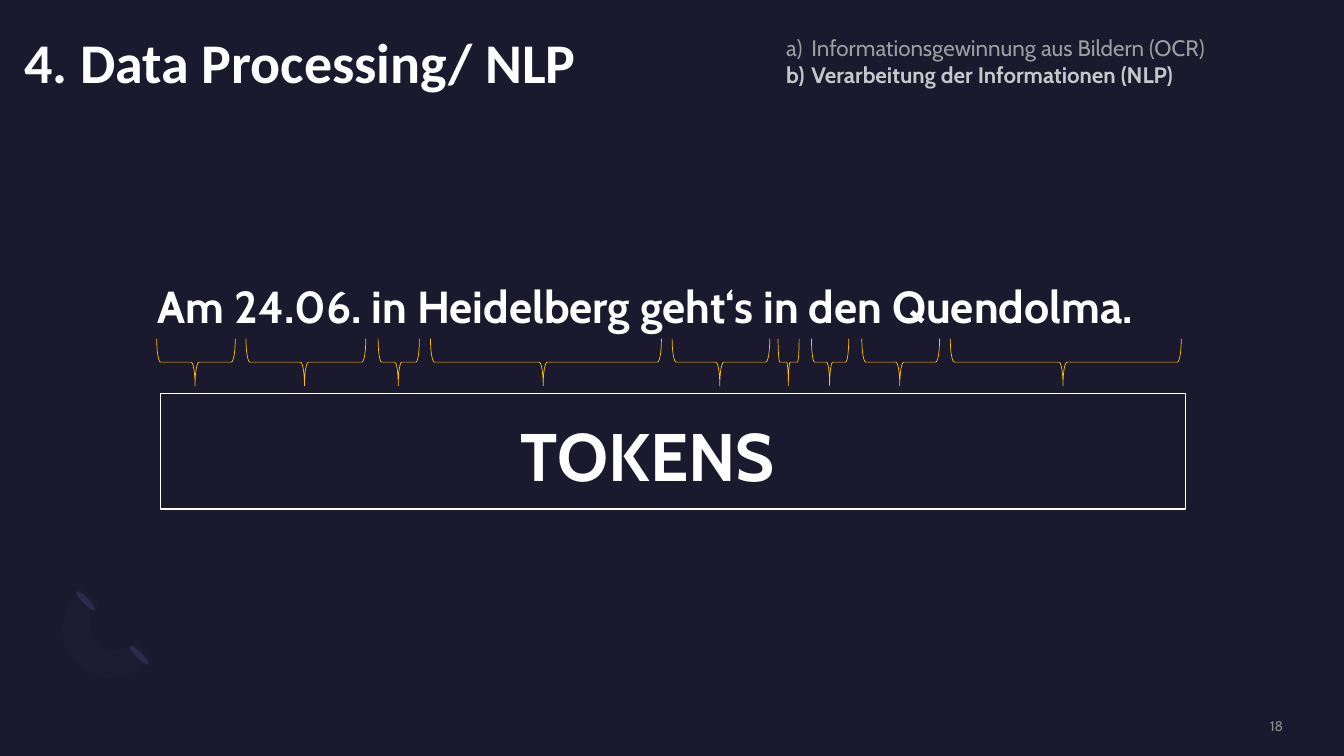
from dataclasses import dataclass

from lxml import etree
from pptx import Presentation
from pptx import util as u
from pptx.dml.color import RGBColor
from pptx.enum import shapes, text
from pptx.oxml.ns import qn

WHITE, NIGHT, PURPLE, AMBER = "FFFFFF", "1B192E", "2C284A", "FFC000"
BRACE_TOP, BRACE_HEIGHT = 8.53, 1.19


@dataclass
class Box:
    left: float
    top: float
    width: float
    height: float

    def lengths(self) -> list:
        return [u.Cm(v) for v in (self.left, self.top, self.width, self.height)]


@dataclass
class Brace:
    left: float
    width: float


@dataclass
class Style:
    size: float
    color: str
    font: str = "Cabin"
    bold: bool = False
    opacity: int = 100


def paint_fill(fill, color: str, opacity: int = 100) -> None:
    fill.solid()
    fill.fore_color.rgb = RGBColor.from_string(color)
    if opacity < 100:
        srgb = fill._xPr.find(qn("a:solidFill")).find(qn("a:srgbClr"))
        etree.SubElement(srgb, qn("a:alpha")).set("val", str(opacity * 1000))


def format_paragraph(paragraph, style: Style) -> None:
    for run in paragraph.runs:
        run.font.name = style.font
        run.font.size = u.Pt(style.size)
        run.font.bold = style.bold
        paint_fill(run.font.fill, style.color, style.opacity)


def place(shape, box: Box) -> None:
    shape.left, shape.top, shape.width, shape.height = box.lengths()


def write(shape, wording: str, styles: list[Style], grow: bool = True,
          align=text.PP_ALIGN.LEFT) -> None:
    frame = shape.text_frame
    frame.word_wrap = True
    frame.text = wording
    if grow:
        frame.auto_size = text.MSO_AUTO_SIZE.SHAPE_TO_FIT_TEXT
        frame.vertical_anchor = text.MSO_ANCHOR.TOP
    else:
        frame.auto_size = text.MSO_AUTO_SIZE.NONE
        frame.vertical_anchor = text.MSO_ANCHOR.MIDDLE
        frame.margin_left = frame.margin_right = 0
        frame.margin_top = frame.margin_bottom = 0
    for paragraph, style in zip(frame.paragraphs, styles):
        paragraph.alignment = align
        paragraph.space_before = u.Pt(0)
        format_paragraph(paragraph, style)


def letter_list(shape) -> None:
    for paragraph in shape.text_frame.paragraphs:
        props = paragraph._p.get_or_add_pPr()
        props.set("marL", str(u.Cm(0.64)))
        props.set("indent", str(-u.Cm(0.64)))
        etree.SubElement(props, qn("a:buFont")).set("typeface", "+mj-lt")
        etree.SubElement(props, qn("a:buAutoNum")).set("type", "alphaLcParenR")


def outline(slide, kind, box: Box, color: str, weight: float):
    shape = slide.shapes.add_shape(kind, *box.lengths())
    shape.shadow.inherit = False
    shape.fill.background()
    paint_fill(shape.line.fill, color)
    shape.line.width = u.Pt(weight)
    return shape


def draw_brace(slide, brace: Brace) -> None:
    # A left brace turned by 270 degrees points down
    center_x = brace.left + brace.width / 2
    center_y = BRACE_TOP + BRACE_HEIGHT / 2
    box = Box(center_x - BRACE_HEIGHT / 2, center_y - brace.width / 2,
              BRACE_HEIGHT, brace.width)
    shape = outline(slide, shapes.MSO_SHAPE.LEFT_BRACE, box, AMBER, 0.5)
    shape.adjustments[0], shape.adjustments[1] = 0.083, 0.488
    shape.rotation = 270


def curve(points: list[tuple], steps: int = 12) -> list[tuple]:
    a, b, c, d = points
    result = []
    for i in range(1, steps + 1):
        t = i / steps
        s = 1 - t
        result.append(tuple(
            u.Cm(s**3 * a[k] + 3 * s * s * t * b[k] + 3 * s * t * t * c[k] + t**3 * d[k])
            for k in (0, 1)))
    return result


def draw_ornament(slide) -> None:
    for left, top in ((3.43, 16.18), (2.08, 14.81)):
        dash = slide.shapes.add_shape(shapes.MSO_SHAPE.OVAL,
                                      *Box(left, top, 0.15, 0.66).lengths())
        dash.shadow.inherit = False
        paint_fill(dash.fill, PURPLE)
        dash.line.fill.background()
        dash.rotation = 135
    outer = [(1.93, 16.74), (1.42, 16.23), (1.47, 15.37), (2.06, 14.78)]
    inner = [(2.51, 15.24), (2.21, 15.52), (2.18, 15.98), (2.44, 16.21)]
    inner_end = [inner[-1], (2.69, 16.46), (3.12, 16.43), (3.43, 16.15)]
    outer_end = [(3.86, 16.61), (3.3, 17.17), (2.41, 17.25), outer[0]]
    builder = slide.shapes.build_freeform(*(u.Cm(v) for v in outer[0]))
    for part in (outer, inner, inner_end, outer_end):
        start = tuple(u.Cm(v) for v in part[0])
        builder.add_line_segments([start] + curve(part), close=part is outer_end)
    arc = builder.convert_to_shape()
    arc.shadow.inherit = False
    paint_fill(arc.fill, "7771B2", 3)
    arc.line.fill.background()


def main() -> None:
    deck = Presentation()
    deck.slide_width, deck.slide_height = u.Cm(33.87), u.Cm(19.05)
    slide = deck.slides.add_slide(deck.slide_layouts[1])
    paint_fill(slide.background.fill, NIGHT)
    draw_ornament(slide)

    # Heading and agenda
    heading, agenda = slide.placeholders
    place(heading, Box(0.36, 0.56, 16.94, 1.96))
    write(heading, "4. Data Processing/ NLP", [Style(40, WHITE, "Calibri", True)])
    place(agenda, Box(19.81, 0.76, 13.92, 1.55))
    write(agenda,
          "Informationsgewinnung aus Bildern (OCR)\nVerarbeitung der Informationen (NLP)",
          [Style(16, "BFBFBF", opacity=80), Style(16, "F2F2F2", bold=True, opacity=80)],
          grow=False)
    letter_list(agenda)

    # Example sentence with one brace per token
    sentence = slide.shapes.add_textbox(*Box(3.73, 6.91, 27.91, 1.63).lengths())
    write(sentence, "Am 24.06. in Heidelberg geht‘s in den Quendolma.",
          [Style(32, WHITE, bold=True)])
    for brace in (Brace(3.95, 1.98), Brace(6.2, 3.02), Brace(9.53, 1.04),
                  Brace(10.85, 5.82), Brace(16.94, 2.46), Brace(19.61, 0.53),
                  Brace(20.45, 0.94), Brace(21.72, 1.96), Brace(23.95, 5.82)):
        draw_brace(slide, brace)

    # Framed result
    tokens = slide.shapes.add_textbox(*Box(12.88, 10.31, 17.04, 2.31).lengths())
    write(tokens, "TOKENS", [Style(48, WHITE, bold=True)])
    outline(slide, shapes.MSO_SHAPE.RECTANGLE, Box(4.04, 9.91, 25.83, 2.92), WHITE, 1)

    # Page number
    page = slide.shapes.add_textbox(*Box(27.64, 18.08, 4.7, 0.43).lengths())
    write(page, "18", [Style(10, "A6A6A6", opacity=80)], grow=False,
          align=text.PP_ALIGN.RIGHT)

    deck.save("out.pptx")


if __name__ == "__main__":
    main()
